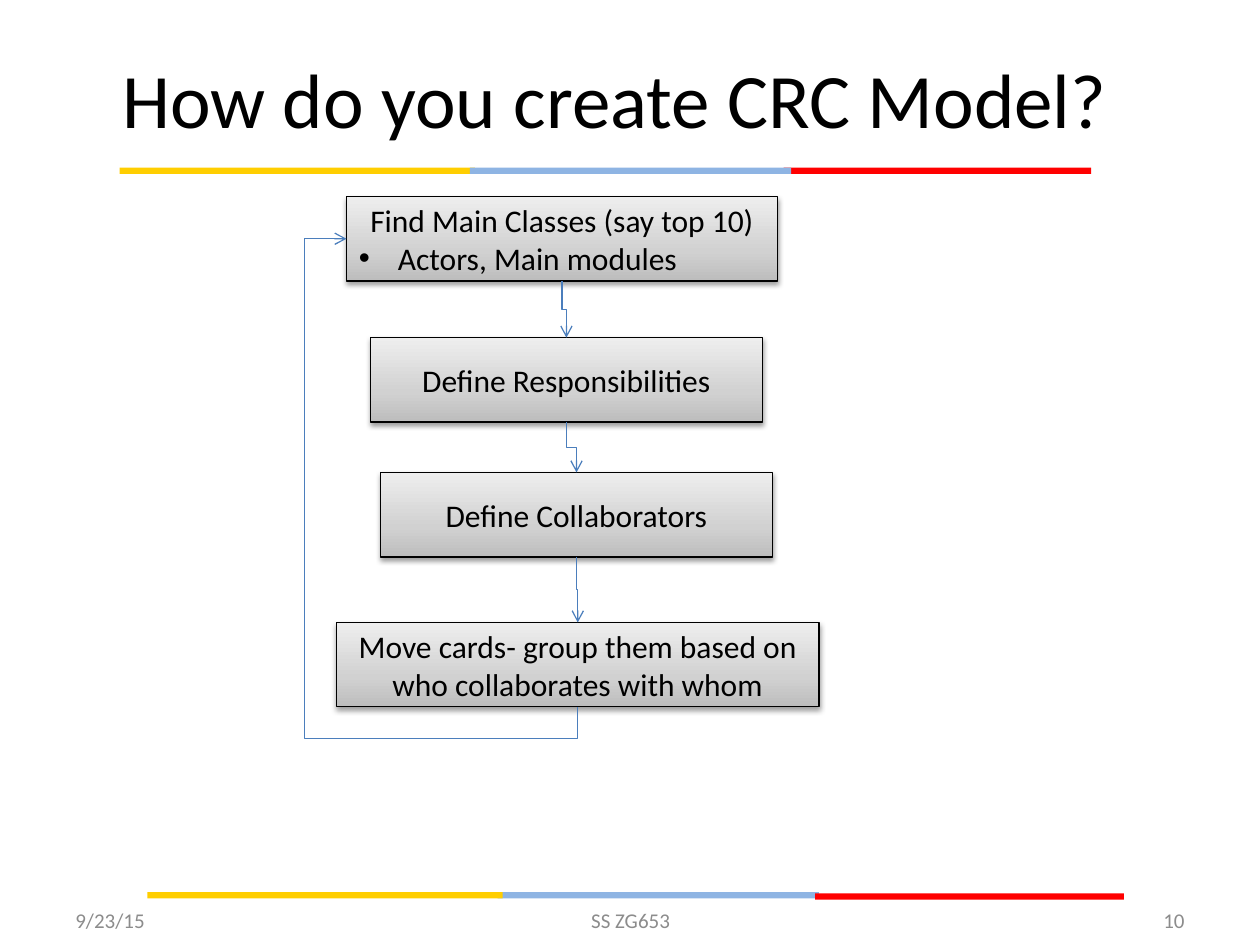
from copy import deepcopy

from lxml.etree import SubElement
from pptx import Presentation
from pptx.dml.color import RGBColor
from pptx.enum.shapes import MSO_CONNECTOR, MSO_SHAPE
from pptx.enum.text import MSO_ANCHOR, PP_ALIGN
from pptx.oxml.ns import qn
from pptx.util import Inches, Pt

FONT = "Calibri"
COLORS = {
    "yellow": "FFCE00", "blue": "8EB4E3", "red": "FF0000",
    "footer": "8C8C8C", "ink": "000000", "arrow": "4B7EBC",
}
STEP_GRADIENT = [(0, "BDBDBD"), (0.35, "D1D1D1"), (1, "EEEEEE")]
STEP_HEIGHT = 0.67
TOP, LEFT, BOTTOM = 0, 1, 2  # connection sites of a process box


def rgb(name):
    return RGBColor.from_string(COLORS[name])


def style_paragraph(para, size, color, align):
    para.alignment = align
    para.font.name = FONT
    para.font.size = Pt(size)
    para.font.color.rgb = rgb(color)


def add_bar(page, color, left, top, width):
    bar = page.shapes.add_shape(MSO_SHAPE.RECTANGLE, Inches(left), Inches(top),
                                Inches(width), Inches(0.05))
    bar.shadow.inherit = False
    bar.fill.solid()
    bar.fill.fore_color.rgb = rgb(color)
    bar.line.fill.background()


def add_footer(page, text, left, width, align):
    box = page.shapes.add_textbox(Inches(left), Inches(7.1), Inches(width), Inches(0.4))
    frame = box.text_frame
    frame.word_wrap = True
    frame.vertical_anchor = MSO_ANCHOR.MIDDLE
    frame.text = text
    style_paragraph(frame.paragraphs[0], 12, "footer", align)


def set_title(page, text):
    title = page.shapes.title
    title.left, title.top = Inches(0.38), Inches(0.22)
    title.width, title.height = Inches(9), Inches(1.11)
    title.text_frame.text = text
    title.text_frame.vertical_anchor = MSO_ANCHOR.MIDDLE
    style_paragraph(title.text_frame.paragraphs[0], 44, "ink", PP_ALIGN.CENTER)


def fill_gradient(shape):
    shape.fill.gradient()
    shape.fill.gradient_angle = 90
    stop_list = shape.element.spPr.find(".//" + qn("a:gsLst"))
    stop_list.append(deepcopy(stop_list[0]))
    for stop, (position, color) in zip(shape.fill.gradient_stops, STEP_GRADIENT):
        stop.position = position
        stop.color.rgb = RGBColor.from_string(color)


def add_shadow(shape):
    shape.shadow.inherit = False
    effects = shape.element.spPr.find(qn("a:effectLst"))
    shadow = SubElement(effects, qn("a:outerShdw"), blurRad=str(Pt(3.1)),
                        dist=str(Pt(1.6)), dir="5400000", rotWithShape="0")
    color = SubElement(shadow, qn("a:srgbClr"), val=COLORS["ink"])
    SubElement(color, qn("a:alpha"), val="38000")


def add_bullet(para):
    properties = para._p.get_or_add_pPr()
    properties.set("marL", str(Inches(0.31)))
    properties.set("indent", str(-Inches(0.31)))
    SubElement(properties, qn("a:buFont"), typeface="Arial")
    SubElement(properties, qn("a:buChar"), char="•")


def add_step(page, left, top, width, heading, bullet=None):
    step = page.shapes.add_shape(MSO_SHAPE.FLOWCHART_PROCESS, Inches(left), Inches(top),
                                 Inches(width), Inches(STEP_HEIGHT))
    fill_gradient(step)
    step.line.color.rgb = rgb("ink")
    step.line.width = Pt(0.75)
    add_shadow(step)
    frame = step.text_frame
    frame.word_wrap = True
    frame.vertical_anchor = MSO_ANCHOR.MIDDLE
    frame.text = heading
    style_paragraph(frame.paragraphs[0], 18, "ink", PP_ALIGN.CENTER)
    if bullet:
        para = frame.add_paragraph()
        para.text = bullet
        add_bullet(para)
        style_paragraph(para, 18, "ink", PP_ALIGN.LEFT)
    return step


def add_elbow(page, source, target, target_site, quarter_turns):
    """Link the bottom of source to target with a turned elbow arrow."""
    elbow = page.shapes.add_connector(MSO_CONNECTOR.ELBOW, 0, 0, 0, 0)
    elbow.begin_connect(source, BOTTOM)
    elbow.end_connect(target, target_site)
    start_x, start_y = source.left + source.width // 2, source.top + source.height
    if target_site == TOP:
        end_x, end_y = target.left + target.width // 2, target.top
    else:
        end_x, end_y = target.left, target.top + target.height // 2
    # The frame is stored unturned, so its width spans the vertical distance.
    width, height = abs(end_y - start_y), abs(end_x - start_x)
    elbow.left = (start_x + end_x - width) // 2
    elbow.top = (start_y + end_y - height) // 2
    elbow.width, elbow.height = width, height
    properties = elbow._element.spPr
    frame = properties.find(qn("a:xfrm"))
    frame.attrib.pop("flipV", None)
    frame.set("rot", str(quarter_turns * 5400000))
    frame.set("flipH", "1")

    elbow.line.color.rgb = rgb("arrow")
    elbow.line.width = Pt(0.75)
    SubElement(properties.find(qn("a:ln")), qn("a:tailEnd"), type="arrow")
    SubElement(properties, qn("a:effectLst"))
    return elbow


def bend_around(elbow, *adjustments):
    """Give the elbow a third bend, so that it passes outside the boxes."""
    geometry = elbow._element.spPr.find(qn("a:prstGeom"))
    geometry.set("prst", "bentConnector4")
    guides = geometry.find(qn("a:avLst"))
    for number, value in enumerate(adjustments, 1):
        SubElement(guides, qn("a:gd"), name=f"adj{number}",
                   fmla=f"val {round(value * 100000)}")


def main():
    deck = Presentation()
    deck.slide_width, deck.slide_height = Inches(10), Inches(7.5)
    page = deck.slides.add_slide(deck.slide_layouts[5])

    for bar in [("red", 6.22, 1.33, 2.44), ("yellow", 0.95, 1.33, 2.82),
                ("blue", 3.73, 1.33, 2.55), ("blue", 3.95, 7.08, 2.55),
                ("red", 6.47, 7.09, 2.45), ("yellow", 1.17, 7.08, 2.82)]:
        add_bar(page, *bar)
    add_footer(page, "SS ZG653", 3.42, 3.17, PP_ALIGN.CENTER)
    add_footer(page, "9/23/15", 0.5, 2.33, PP_ALIGN.LEFT)
    add_footer(page, "10", 7.17, 2.33, PP_ALIGN.RIGHT)
    set_title(page, "How do you create CRC Model?")

    steps = [
        add_step(page, 2.75, 1.56, 3.42, "Find Main Classes (say top 10)",
                 "Actors, Main modules"),
        add_step(page, 2.94, 2.68, 3.11, "Define Responsibilities"),
        add_step(page, 3.02, 3.75, 3.11, "Define Collaborators"),
        add_step(page, 2.67, 4.94, 3.83,
                 "Move cards- group them based on who collaborates with whom"),
    ]
    for source, target in zip(steps, steps[1:]):
        add_elbow(page, source, target, TOP, 3)
    loop = add_elbow(page, steps[-1], steps[0], LEFT, 1)
    bend_around(loop, -0.067, 1.182)

    deck.save("out.pptx")


if __name__ == "__main__":
    main()
